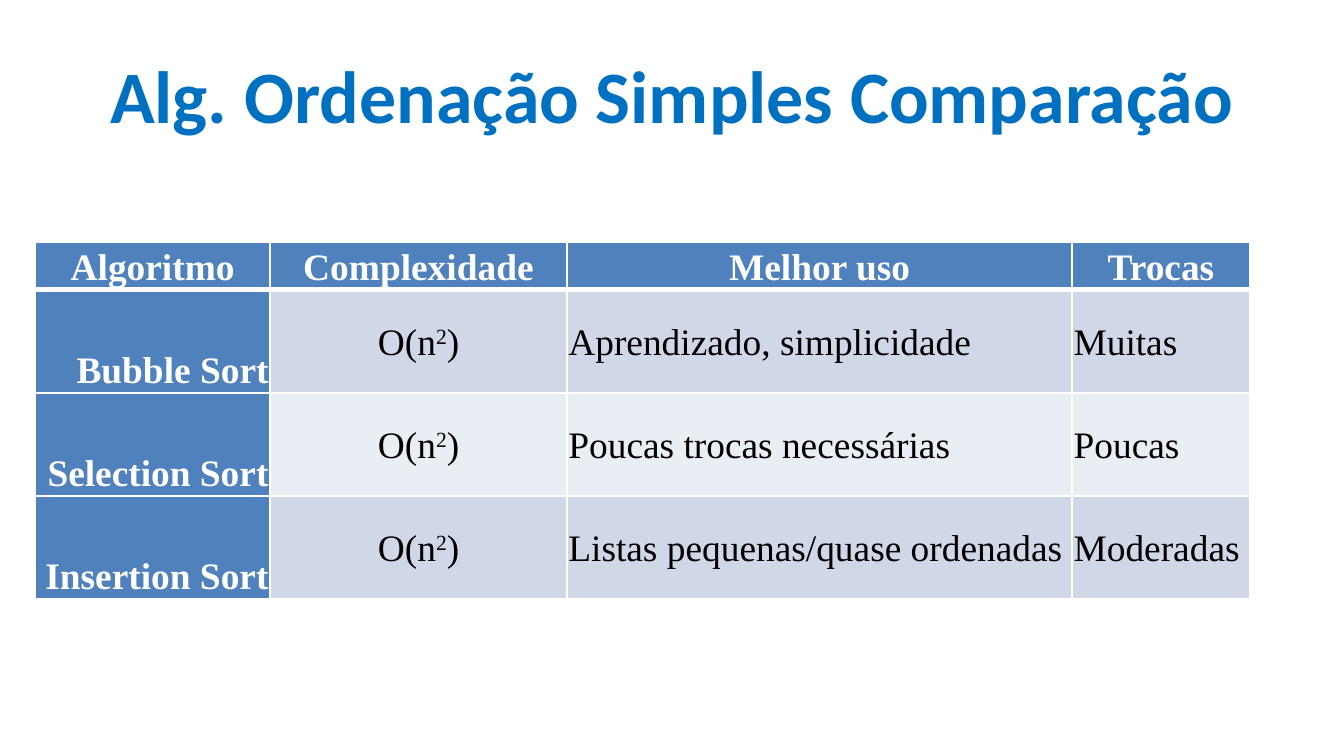
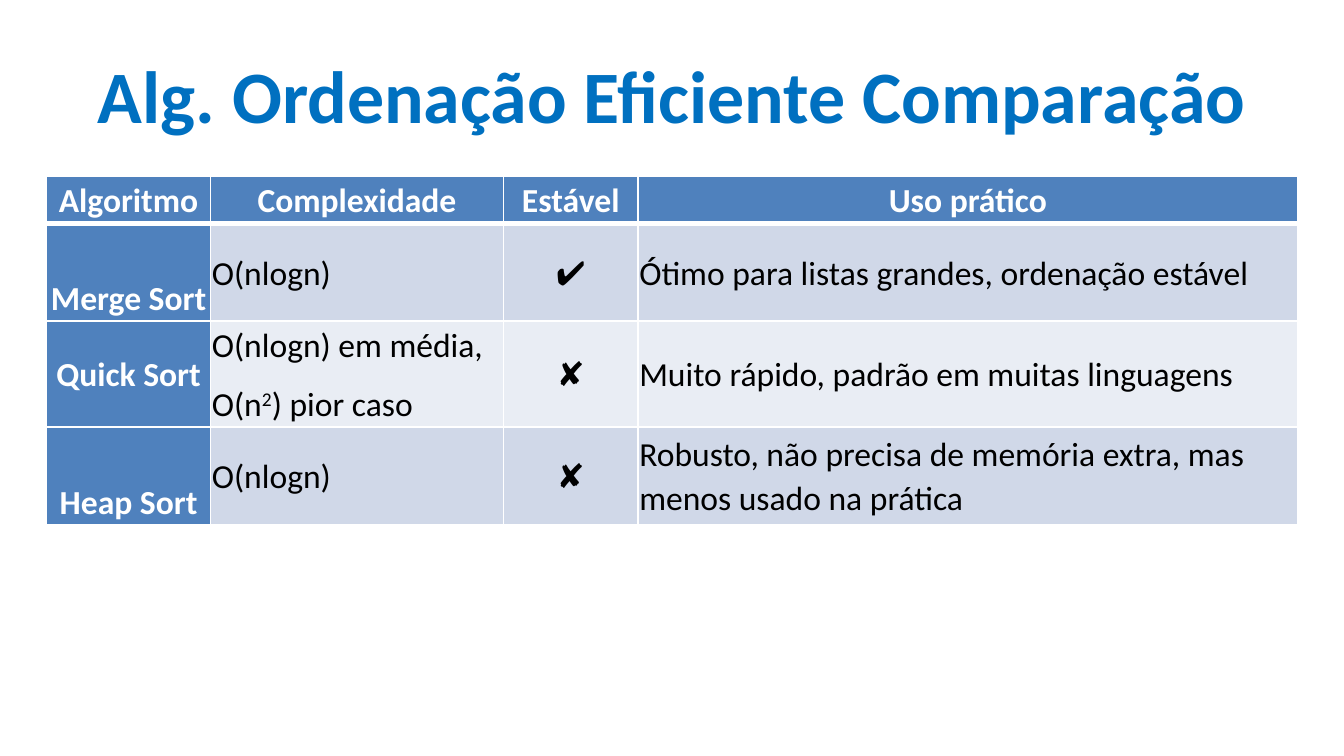
from dataclasses import dataclass

import lxml.etree
import pptx
import pptx.dml.color
import pptx.enum.text
import pptx.oxml.ns
import pptx.slide
import pptx.table
import pptx.text.text
import pptx.util

Pt = pptx.util.Pt
Align = pptx.enum.text.PP_ALIGN
Anchor = pptx.enum.text.MSO_ANCHOR

WHITE = "FFFFFF"
BLACK = "000000"
TITLE_BLUE = "0070C0"
HEADER_BLUE = "4F81BD"
BANDS = ("D0D8E8", "E9EDF4")
TITLE_ONLY_LAYOUT = 5
CELL_MARGIN = Pt(0.72)
THIN, THICK = 1, 3


@dataclass(frozen=True)
class Column:
    heading: str
    width: float
    alignment: Align


@dataclass(frozen=True)
class Algorithm:
    height: float
    cells: tuple[str, ...]
    name_anchor: Anchor = Anchor.BOTTOM


@dataclass(frozen=True)
class Comparison:
    title: str
    left: float
    top: float
    font_name: str
    font_size: float
    columns: tuple[Column, ...]
    algorithms: tuple[Algorithm, ...]
    header_height: float = 25


COMPARISONS = (
    Comparison(
        "Alg. Ordenação Simples Comparação", 19, 130, "Times New Roman", 20,
        (
            Column("Algoritmo", 125.7, Align.RIGHT),
            Column("Complexidade", 159.1, Align.CENTER),
            Column("Melhor uso", 270.7, Align.LEFT),
            Column("Trocas", 95, Align.LEFT),
        ),
        (
            Algorithm(55.3, ("Bubble Sort", "O(n²)", "Aprendizado, simplicidade", "Muitas")),
            Algorithm(55.3, ("Selection Sort", "O(n²)", "Poucas trocas necessárias", "Poucas")),
            Algorithm(55.3, ("Insertion Sort", "O(n²)", "Listas pequenas/quase ordenadas", "Moderadas")),
        ),
    ),
    Comparison(
        "Alg. Ordenação Eficiente Comparação", 25, 94.6, "Calibri", 18,
        (
            Column("Algoritmo", 87.8, Align.CENTER),
            Column("Complexidade", 157, Align.LEFT),
            Column("Estável", 72, Align.CENTER),
            Column("Uso prático", 353.5, Align.LEFT),
        ),
        (
            Algorithm(52.4, ("Merge Sort", "O(nlogn)", "✔", "Ótimo para listas grandes, ordenação estável")),
            Algorithm(
                56.8,
                ("Quick Sort", "O(nlogn) em média,\nO(n²) pior caso", "✘",
                 "Muito rápido, padrão em muitas linguagens"),
                Anchor.MIDDLE,
            ),
            Algorithm(
                52.4,
                ("Heap Sort", "O(nlogn)", "✘",
                 "Robusto, não precisa de memória extra, mas menos usado na prática"),
            ),
        ),
    ),
)


def color(value: str) -> pptx.dml.color.RGBColor:
    return pptx.dml.color.RGBColor.from_string(value)


def add_title(slide: pptx.slide.Slide, text: str) -> None:
    title = slide.shapes.title
    title.left, title.top, title.width, title.height = Pt(36), Pt(16.5), Pt(648), Pt(67.5)
    frame = title.text_frame
    frame.text = text
    frame.auto_size = pptx.enum.text.MSO_AUTO_SIZE.NONE
    frame.vertical_anchor = Anchor.MIDDLE
    frame.margin_left = frame.margin_right = frame.margin_top = frame.margin_bottom = Pt(3.6)
    paragraph = frame.paragraphs[0]
    paragraph.alignment = Align.CENTER
    paragraph.font.name = "Calibri"
    paragraph.font.size = Pt(39.6)
    paragraph.font.bold = True
    paragraph.font.color.rgb = color(TITLE_BLUE)


def write_runs(paragraph: pptx.text.text._Paragraph, text: str) -> None:
    """Write the text, with each ² as a raised 2."""
    for index, part in enumerate(text.split("²")):
        if index:
            exponent = paragraph.add_run()
            exponent.text = "2"
            exponent._r.get_or_add_rPr().set("baseline", "30000")
        paragraph.add_run().text = part


def set_borders(cell: pptx.table._Cell, top: float, bottom: float) -> None:
    qn = pptx.oxml.ns.qn
    properties = cell._tc.get_or_add_tcPr()
    for side, width in (("L", THIN), ("R", THIN), ("T", top), ("B", bottom)):
        line = lxml.etree.SubElement(properties, qn(f"a:ln{side}"), w=str(int(Pt(width))))
        fill = lxml.etree.SubElement(line, qn("a:solidFill"))
        lxml.etree.SubElement(fill, qn("a:srgbClr"), val=WHITE)


def format_cell(cell: pptx.table._Cell, text: str, comparison: Comparison, fill: str,
                alignment: Align, anchor: Anchor, emphasized: bool) -> None:
    cell.margin_left = cell.margin_right = cell.margin_top = cell.margin_bottom = CELL_MARGIN
    cell.vertical_anchor = anchor
    cell.fill.solid()
    cell.fill.fore_color.rgb = color(fill)
    frame = cell.text_frame
    for index, line in enumerate(text.split("\n")):
        paragraph = frame.add_paragraph() if index else frame.paragraphs[0]
        write_runs(paragraph, line)
        paragraph.alignment = alignment
        paragraph.line_spacing = 1.07
        paragraph.space_after = Pt(8)
        paragraph.font.name = comparison.font_name
        paragraph.font.size = Pt(comparison.font_size)
        paragraph.font.bold = emphasized
        paragraph.font.color.rgb = color(WHITE if emphasized else BLACK)


def add_comparison_table(slide: pptx.slide.Slide, comparison: Comparison) -> None:
    columns, algorithms = comparison.columns, comparison.algorithms
    heights = [comparison.header_height, *(algorithm.height for algorithm in algorithms)]
    table = slide.shapes.add_table(
        len(heights), len(columns), Pt(comparison.left), Pt(comparison.top),
        Pt(sum(column.width for column in columns)), Pt(sum(heights)),
    ).table
    for row, height in zip(table.rows, heights):
        row.height = Pt(height)
    for column_index, column in enumerate(columns):
        table.columns[column_index].width = Pt(column.width)
        heading = table.cell(0, column_index)
        set_borders(heading, THIN, THICK)
        format_cell(heading, column.heading, comparison, HEADER_BLUE,
                    Align.CENTER, Anchor.MIDDLE, True)
        is_name = column_index == 0
        for row_index, algorithm in enumerate(algorithms):
            cell = table.cell(row_index + 1, column_index)
            set_borders(cell, THIN if row_index else THICK, THIN)
            format_cell(
                cell, algorithm.cells[column_index], comparison,
                HEADER_BLUE if is_name else BANDS[row_index % 2],
                column.alignment,
                algorithm.name_anchor if is_name else Anchor.MIDDLE,
                is_name,
            )


def main() -> None:
    presentation = pptx.Presentation()
    presentation.slide_width, presentation.slide_height = Pt(720), Pt(405)
    for comparison in COMPARISONS:
        slide = presentation.slides.add_slide(presentation.slide_layouts[TITLE_ONLY_LAYOUT])
        add_title(slide, comparison.title)
        add_comparison_table(slide, comparison)
    presentation.save("out.pptx")


if __name__ == "__main__":
    main()
